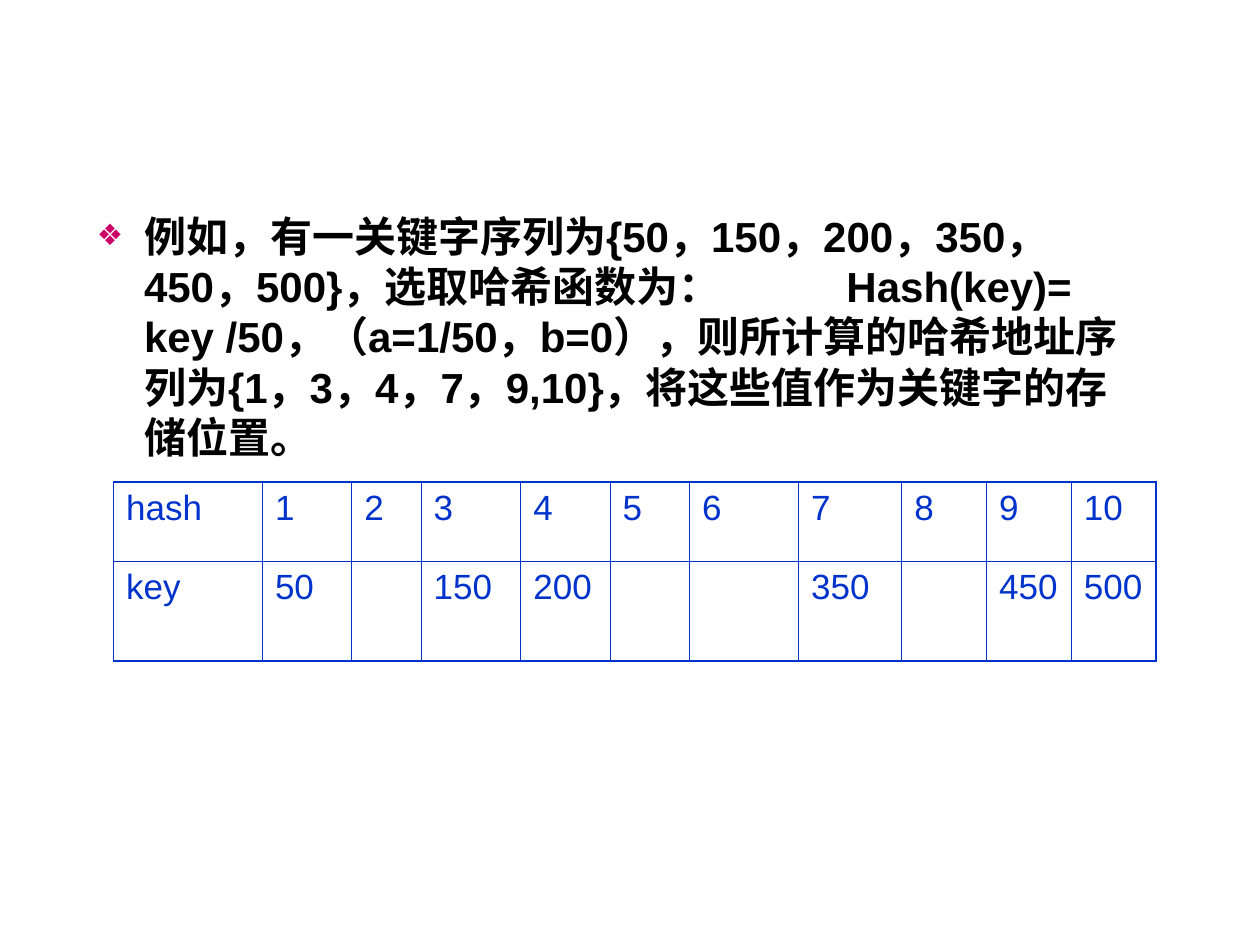
import pptx
import pptx.dml.color
import pptx.enum.text
import pptx.oxml
import pptx.oxml.ns
import pptx.presentation
import pptx.slide
import pptx.table
import pptx.text.text
import pptx.util
from dataclasses import dataclass
from pptx.util import Cm

COLORS = {"text": "000000", "bullet": "CC0066", "table": "0033CC"}
FONT = "Arial"
THIN, THICK = 0.45, 1.08
EXAMPLE = (
    "例如，有一关键字序列为{50，150，200，350，450，500}，选取哈希函数为：\t"
    "Hash(key)= key /50，（a=1/50，b=0），则所计算的哈希地址序列为"
    "{1，3，4，7，9,10}，将这些值作为关键字的存储位置。"
)


@dataclass(frozen=True)
class Slot:
    address: str
    key: str
    width: float


SLOTS = [
    Slot("hash", "key", 3.0),
    Slot("1", "50", 1.8),
    Slot("2", "", 1.4),
    Slot("3", "150", 2.01),
    Slot("4", "200", 1.8),
    Slot("5", "", 1.6),
    Slot("6", "", 2.2),
    Slot("7", "350", 2.08),
    Slot("8", "", 1.71),
    Slot("9", "450", 1.71),
    Slot("10", "500", 1.7),
]
ROW_HEIGHTS = [1.6, 2.0]


def format_runs(paragraph: pptx.text.text._Paragraph, size: int, color: str, bold: bool) -> None:
    for run in paragraph.runs:
        run.font.name = FONT
        run.font.size = pptx.util.Pt(size)
        run.font.bold = bold
        run.font.color.rgb = pptx.dml.color.RGBColor.from_string(COLORS[color])


def add_xml(parent, tag: str, content: str = "", attributes: str = "") -> None:
    namespace = pptx.oxml.ns.nsdecls("a")
    parent.append(pptx.oxml.parse_xml(f"<a:{tag} {namespace} {attributes}>{content}</a:{tag}>"))


def write_example(slide: pptx.slide.Slide) -> None:
    body = slide.placeholders[1]
    body.left, body.top, body.width, body.height = Cm(1.7), Cm(4.11), Cm(21.62), Cm(10.8)
    frame = body.text_frame
    frame.text = EXAMPLE
    frame.auto_size = pptx.enum.text.MSO_AUTO_SIZE.NONE
    frame.vertical_anchor = pptx.enum.text.MSO_ANCHOR.TOP
    paragraph = frame.paragraphs[0]
    properties = paragraph._p.get_or_add_pPr()
    properties.set("marL", str(Cm(0.95)))
    properties.set("indent", str(Cm(-0.95)))
    add_xml(properties, "buClr", f'<a:srgbClr val="{COLORS["bullet"]}"/>')
    add_xml(properties, "buSzPct", attributes='val="70000"')
    add_xml(properties, "buFont", attributes=f'typeface="{FONT}"')
    add_xml(properties, "buChar", attributes='char="❖"')
    add_xml(properties, "tabLst", f'<a:tab pos="{Cm(15.11)}" algn="l"/>')
    paragraph.space_before = pptx.util.Pt(0)
    format_runs(paragraph, 24, "text", True)


def draw_borders(cell: pptx.table._Cell, outer: dict[str, bool]) -> None:
    properties = cell._tc.get_or_add_tcPr()
    line = f'<a:solidFill><a:srgbClr val="{COLORS["table"]}"/></a:solidFill>'
    for side, is_outer in outer.items():
        width = pptx.util.Pt(THICK if is_outer else THIN)
        add_xml(properties, side, line, f'w="{width}"')


def draw_hash_table(slide: pptx.slide.Slide) -> None:
    total_width = Cm(sum(slot.width for slot in SLOTS))
    frame = slide.shapes.add_table(
        len(ROW_HEIGHTS), len(SLOTS), Cm(2.29), Cm(9.72), total_width, Cm(sum(ROW_HEIGHTS))
    )
    table = frame.table
    table.first_row = table.horz_banding = False
    for row, height in zip(table.rows, ROW_HEIGHTS):
        row.height = Cm(height)
    last_row, last_column = len(ROW_HEIGHTS) - 1, len(SLOTS) - 1
    for column, slot in enumerate(SLOTS):
        table.columns[column].width = Cm(slot.width)
        for row, value in enumerate((slot.address, slot.key)):
            cell = table.cell(row, column)
            draw_borders(cell, {
                "lnL": column == 0,
                "lnR": column == last_column,
                "lnT": row == 0,
                "lnB": row == last_row,
            })
            cell.fill.background()
            cell.text_frame.text = value
            format_runs(cell.text_frame.paragraphs[0], 20, "table", False)


def main() -> None:
    deck = pptx.Presentation()
    deck.slide_width, deck.slide_height = Cm(25.4), Cm(19.05)
    slide = deck.slides.add_slide(deck.slide_layouts[1])
    title = slide.shapes.title.element
    title.getparent().remove(title)
    write_example(slide)
    draw_hash_table(slide)
    deck.save("out.pptx")


if __name__ == "__main__":
    main()
